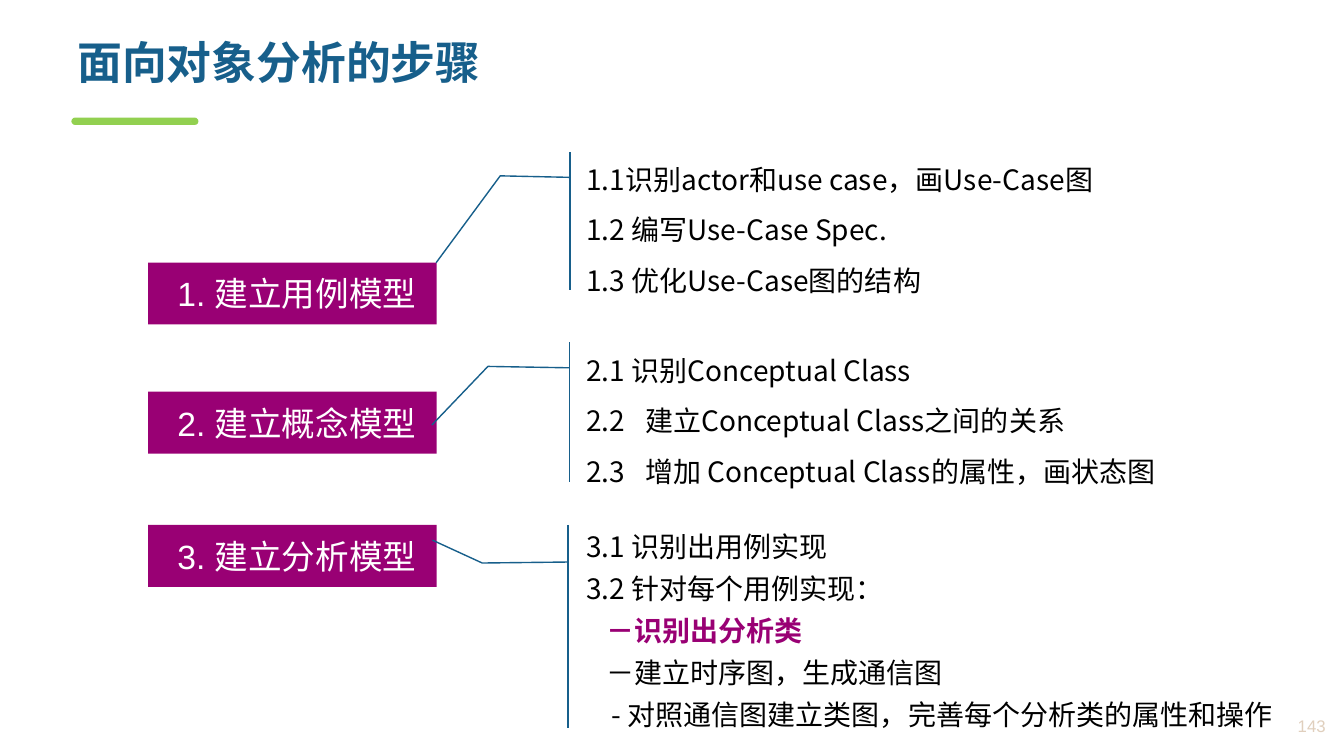
from dataclasses import dataclass
from pptx import Presentation
from pptx import util as u
from pptx.dml.color import RGBColor
from pptx.enum import shapes, text
from pptx.oxml.ns import qn
from lxml import etree


@dataclass(frozen=True)
class Theme:
    blue: str = "175F8B"
    green: str = "92D050"
    purple: str = "990074"
    black: str = "000000"
    white: str = "FFFFFF"
    sand: str = "E0CFBD"
    cjk: str = "Noto Sans CJK SC"
    latin: str = "Arial"
    title: int = 32
    label: int = 24
    body: int = 20
    number: int = 12


T = Theme()
BOX_W, BOX_H = 275, 59
STEPS = [
    dict(label="1. 建立用例模型", box_y=250, callout=(549, 145, 550, 131),
         leader=(0.183, -0.011, 0.172, -0.132, 0.804, -0.243), inset=5,
         lines=[("1.1识别actor和use case，画Use-Case图", 1.5, 0, 0),
                ("1.2 编写Use-Case Spec.", 1.5, 0, 0),
                ("1.3 优化Use-Case图的结构", 1.5, 0, 0)]),
    dict(label="2. 建立概念模型", box_y=373, callout=(549, 326, 620, 133),
         leader=(0.183, -0.011, 0.173, -0.136, 0.592, -0.222), inset=21,
         lines=[("2.1 识别Conceptual Class", 1, 0, 0),
                ("2.2\t建立Conceptual Class之间的关系", 1.5, 0, 0),
                ("2.3\t增加 Conceptual Class的属性，画状态图", 1.5, 0, 0)]),
    dict(label="3. 建立分析模型", box_y=500, callout=(549, 500, 730, 193),
         leader=(0.183, -0.011, 0.188, -0.123, 0.075, -0.188), inset=13,
         lines=[("3.1 识别出用例实现", 1, 0, 0),
                ("3.2 针对每个用例实现：", 1, 6, 0),
                ("－识别出分析类", 1, 6, 19),
                ("－建立时序图，生成通信图", 1, 6, 19),
                ("- 对照通信图建立类图，完善每个分析类的属性和操作", 1, 6, 24)]),
]
KEY_LINE = "－识别出分析类"


def px(n):
    return u.Emu(n * 9525)


def rgb(value):
    return RGBColor.from_string(value)


def style(r, size, color, name=T.cjk, bold=False):
    r.font.size = u.Pt(size)
    r.font.name = name
    r.font.bold = bold
    r.font.color.rgb = rgb(color)
    etree.SubElement(r.font._element, qn("a:ea")).set("typeface", T.cjk)


def add_block(s, kind, box, fill=None, line=None):
    sp = s.shapes.add_shape(kind, *map(px, box))
    sp.shadow.inherit = False
    if fill:
        sp.fill.solid()
        sp.fill.fore_color.rgb = rgb(fill)
    else:
        sp.fill.background()
    if line:
        sp.line.color.rgb = rgb(line)
        sp.line.width = u.Pt(1)
    else:
        sp.line.fill.background()
    return sp


def add_title(s, box, wording):
    sp = s.shapes.title
    sp.left, sp.top, sp.width, sp.height = map(px, box)
    tf = sp.text_frame
    tf.text = wording
    tf.word_wrap = True
    tf.vertical_anchor = text.MSO_ANCHOR.TOP
    tf.margin_top = 0
    p = tf.paragraphs[0]
    p.alignment = text.PP_ALIGN.LEFT
    p.line_spacing = 0.9
    style(p.runs[0], T.title, T.blue, bold=True)
    x, y = box[:2]
    rule = add_block(s, shapes.MSO_SHAPE.ROUND_2_SAME_RECTANGLE,
                     (x + 4, y + 73, 121, 7), T.green)
    rule.adjustments[0] = rule.adjustments[1] = 0.5


def add_label(s, box, wording):
    sp = add_block(s, shapes.MSO_SHAPE.RECTANGLE, box, T.purple)
    tf = sp.text_frame
    tf.text = wording
    tf.vertical_anchor = text.MSO_ANCHOR.MIDDLE
    tf.margin_left, tf.margin_right = px(28), px(4)
    p = tf.paragraphs[0]
    p.alignment = text.PP_ALIGN.LEFT
    style(p.runs[0], T.label, T.white, T.latin)


def add_callout(s, box, leader, lines, inset):
    sp = add_block(s, shapes.MSO_SHAPE.LINE_CALLOUT_2_ACCENT_BAR, box, line=T.blue)
    for i, value in enumerate(leader):
        sp.adjustments[i] = value
    tf = sp.text_frame
    tf.word_wrap = True
    tf.vertical_anchor = text.MSO_ANCHOR.MIDDLE
    tf.margin_top = px(inset)
    for i, (wording, spacing, before, indent) in enumerate(lines):
        p = tf.paragraphs[0] if i == 0 else tf.add_paragraph()
        p.text = wording
        p.alignment = text.PP_ALIGN.LEFT
        p.line_spacing = spacing
        p.space_before = u.Pt(before)
        pPr = p._p.get_or_add_pPr()
        pPr.set("marL", str(px(indent)))
        if "\t" in wording:
            tabs = etree.SubElement(pPr, qn("a:tabLst"))
            etree.SubElement(tabs, qn("a:tab"), pos=str(px(56)), algn="l")
        key = wording == KEY_LINE
        for r in p.runs:
            style(r, T.body, T.purple if key else T.black, bold=key)


def add_page_number(s, box, number):
    tf = s.shapes.add_textbox(*map(px, box)).text_frame
    tf.text = number
    tf.word_wrap = True
    tf.vertical_anchor = text.MSO_ANCHOR.MIDDLE
    p = tf.paragraphs[0]
    p.alignment = text.PP_ALIGN.RIGHT
    style(p.runs[0], T.number, T.sand, T.latin)


def main():
    prs = Presentation()
    prs.slide_width, prs.slide_height = px(1280), px(720)
    s = prs.slides.add_slide(prs.slide_layouts[5])
    add_title(s, (64, 39, 1170, 72), "面向对象分析的步骤")
    for step in STEPS:
        add_label(s, (141, step["box_y"], BOX_W, BOX_H), step["label"])
        add_callout(s, step["callout"], step["leader"], step["lines"], step["inset"])
    add_page_number(s, (1164, 673, 108, 36), "143")
    prs.save("out.pptx")


if __name__ == "__main__":
    main()
